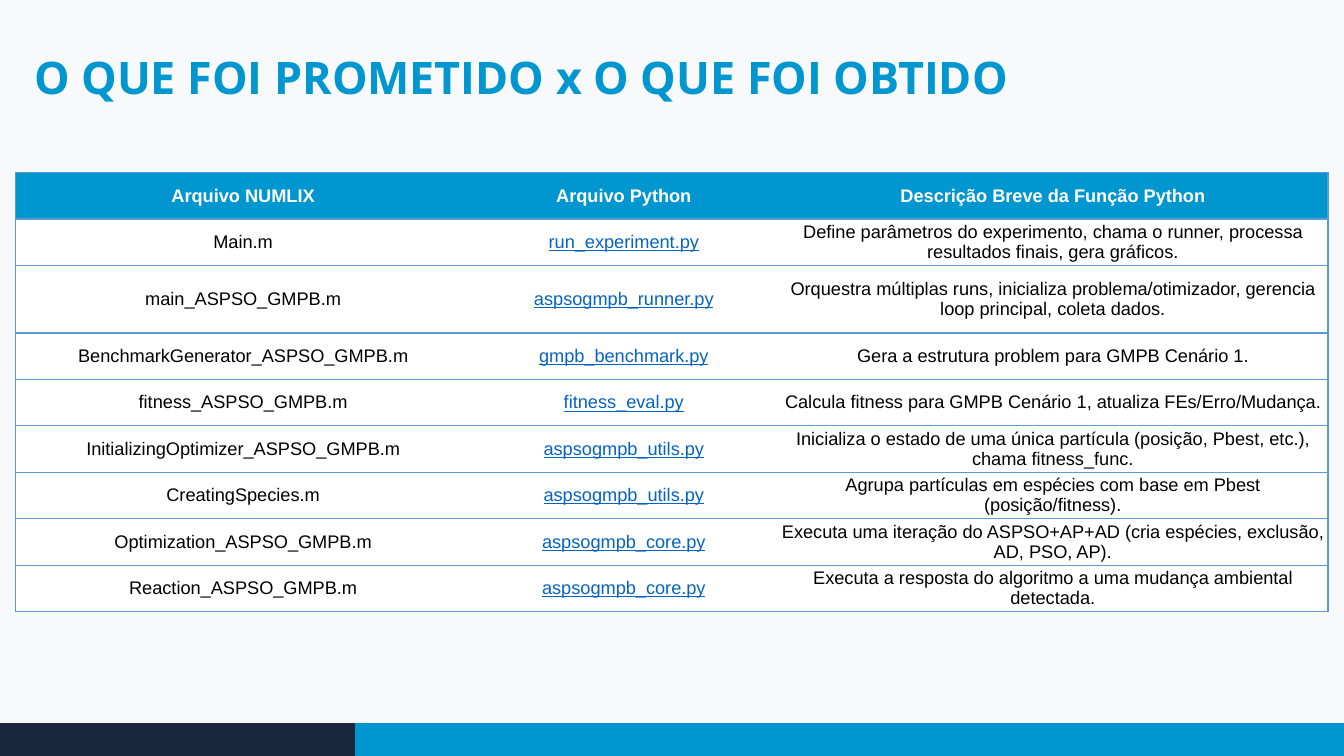
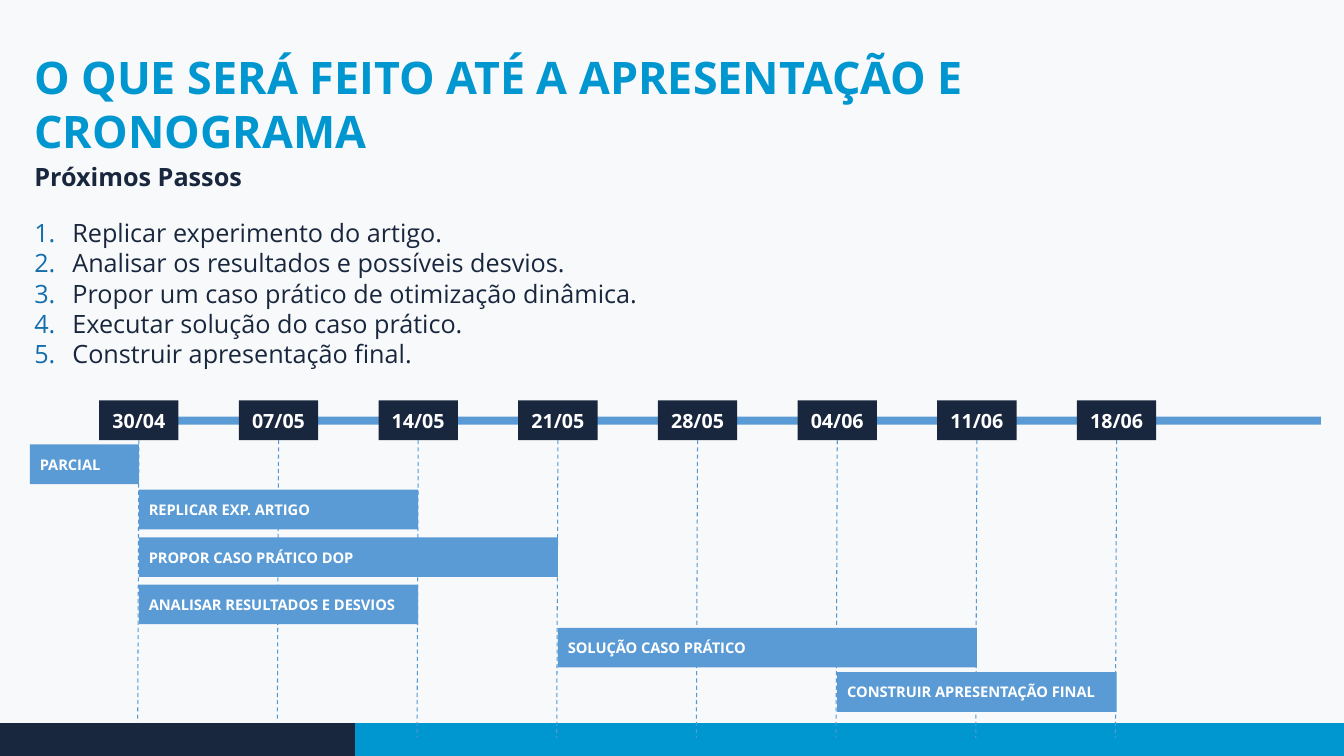
from dataclasses import dataclass

from lxml.etree import SubElement
from pptx import Presentation
from pptx.dml.color import RGBColor
from pptx.enum.dml import MSO_LINE_DASH_STYLE as Dash
from pptx.enum.shapes import MSO_CONNECTOR as Link, MSO_SHAPE as Preset
from pptx.enum.text import MSO_ANCHOR as Anchor, MSO_AUTO_SIZE as Fit, PP_ALIGN as Align
from pptx.oxml.ns import qn
from pptx.util import Cm, Pt


@dataclass(frozen=True)
class Theme:
    # Colours
    paper: str = "F8F9FA"
    navy: str = "19273E"
    cyan: str = "0096D0"
    steel: str = "5B9BD5"
    guide: str = "5698D3"
    number: str = "146EAD"
    link: str = "0563C1"
    white: str = "FFFFFF"
    black: str = "000000"
    # Fonts and type sizes
    font: str = "Open Sans"
    table_font: str = "Arial"
    title_size: float = 32
    body_size: float = 18
    date_size: float = 14
    table_size: float = 13
    task_size: float = 10.5


def rgb(colour):
    return RGBColor.from_string(colour)


class SlideBuilder:
    WIDTH, HEIGHT = 33.87, 19.05
    BAND_HEIGHT, BAND_SPLIT = 0.83, 8.95
    MARGIN = 0.61

    def __init__(self, theme):
        self.theme = theme
        self.deck = Presentation()
        self.deck.slide_width = Cm(self.WIDTH)
        self.deck.slide_height = Cm(self.HEIGHT)
        self.page = None

    def new_page(self, layout, title, title_height):
        theme = self.theme
        self.page = self.deck.slides.add_slide(self.deck.slide_layouts[layout])
        fill = self.page.background.fill
        fill.solid()
        fill.fore_color.rgb = rgb(theme.paper)

        # Footer bands
        top = self.HEIGHT - self.BAND_HEIGHT
        self.box(0, top, self.BAND_SPLIT, self.BAND_HEIGHT, theme.navy)
        self.box(self.BAND_SPLIT, top, self.WIDTH - self.BAND_SPLIT, self.BAND_HEIGHT, theme.cyan)

        # Title
        frame = self.place(self.page.shapes.title, 1.12, 29.9, title_height)
        para = self.paragraph(frame.paragraphs[0], Align.LEFT)
        self.span(para, title, theme.title_size, theme.cyan, bold=True)

    def place(self, holder, top, width, height):
        holder.left, holder.top = Cm(self.MARGIN), Cm(top)
        holder.width, holder.height = Cm(width), Cm(height)
        frame = holder.text_frame
        frame.word_wrap = True
        frame.auto_size = Fit.NONE
        frame.vertical_anchor = Anchor.TOP
        return frame

    def paragraph(self, para, align, before=0):
        para.alignment = align
        para.line_spacing = 1.0
        para.space_before = Pt(before)
        return para

    def span(self, para, text, size, colour, bold=False, font=None, underline=False):
        span = para.add_run()
        span.text = text
        style = span.font
        style.name = font or self.theme.font
        style.size = Pt(size)
        style.bold = bold
        style.underline = underline
        style.color.rgb = rgb(colour)

    def box(self, left, top, width, height, colour, text="", size=None, align=Align.CENTER):
        box = self.page.shapes.add_shape(
            Preset.RECTANGLE, Cm(left), Cm(top), Cm(width), Cm(height))
        box.shadow.inherit = False
        box.fill.solid()
        box.fill.fore_color.rgb = rgb(colour)
        box.line.fill.background()
        if text:
            box.text_frame.vertical_anchor = Anchor.MIDDLE
            para = self.paragraph(box.text_frame.paragraphs[0], align)
            self.span(para, text, size, self.theme.white, bold=True)
        return box

    def guide(self, box, right, bottom):
        """Dashed line that hangs from the bottom of a box."""
        line = self.page.shapes.add_connector(
            Link.STRAIGHT, Cm(right), Cm(bottom), Cm(right), Cm(bottom))
        line.begin_connect(box, 2)
        line.line.color.rgb = rgb(self.theme.guide)
        line.line.width = Pt(0.75)
        line.line.dash_style = Dash.DASH
        SubElement(line.element.spPr, qn("a:effectLst"))

    def numbered_list(self, heading, items, top, width, height):
        theme = self.theme
        frame = self.place(self.page.placeholders[1], top, width, height)
        para = frame.paragraphs[0]
        props = para._p.get_or_add_pPr()
        props.set("marL", "0")
        props.set("indent", "0")
        SubElement(props, qn("a:buNone"))
        self.paragraph(para, Align.JUSTIFY)
        self.span(para, heading, theme.body_size, theme.navy, bold=True)
        for index, item in enumerate(items):
            para = frame.add_paragraph()
            self.number(para)
            self.paragraph(para, Align.JUSTIFY, before=0 if index else 18.4)
            self.span(para, item, theme.body_size, theme.navy)

    def number(self, para):
        props = para._p.get_or_add_pPr()
        indent = Cm(0.96)
        props.set("marL", str(indent))
        props.set("indent", str(-indent))
        SubElement(SubElement(props, qn("a:buClr")), qn("a:srgbClr"), val=self.theme.number)
        SubElement(props, qn("a:buFont"), typeface=self.theme.font)
        SubElement(props, qn("a:buAutoNum"), type="arabicPeriod")

    def table(self, left, top, widths, heights, rows):
        theme = self.theme
        table = self.page.shapes.add_table(
            len(rows), len(widths), Cm(left), Cm(top),
            Cm(sum(widths)), Cm(sum(heights))).table
        table.horz_banding = False
        for column, width in zip(table.columns, widths):
            column.width = Cm(width)
        for row, height in zip(table.rows, heights):
            row.height = Cm(height)
        last = len(widths) - 1
        for r, texts in enumerate(rows):
            header = r == 0
            for c, text in enumerate(texts):
                cell = table.cell(r, c)
                self.borders(cell, {"L": c == 0, "R": c == last, "T": True, "B": True})
                cell.fill.solid()
                cell.fill.fore_color.rgb = rgb(theme.cyan if header else theme.white)
                cell.margin_left = cell.margin_right = Cm(0.05)
                cell.margin_top = cell.margin_bottom = Cm(0.05)
                cell.vertical_anchor = Anchor.MIDDLE
                linked = c == 1 and not header
                colour = theme.white if header else theme.link if linked else theme.black
                para = self.paragraph(cell.text_frame.paragraphs[0], Align.CENTER)
                self.span(para, text, theme.table_size, colour, header, theme.table_font, linked)

    def borders(self, cell, sides):
        props = cell._tc.get_or_add_tcPr()
        for side, shown in sides.items():
            line = SubElement(props, qn("a:ln" + side), w=str(Pt(1)))
            if shown:
                fill = SubElement(line, qn("a:solidFill"))
                SubElement(fill, qn("a:srgbClr"), val=self.theme.steel)
            else:
                SubElement(line, qn("a:noFill"))


FILES = [
    ("Arquivo NUMLIX", "Arquivo Python", "Descrição Breve da Função Python"),
    ("Main.m", "run_experiment.py",
     "Define parâmetros do experimento, chama o runner, processa resultados finais, "
     "gera gráficos."),
    ("main_ASPSO_GMPB.m", "aspsogmpb_runner.py",
     "Orquestra múltiplas runs, inicializa problema/otimizador, gerencia loop principal, "
     "coleta dados."),
    ("BenchmarkGenerator_ASPSO_GMPB.m", "gmpb_benchmark.py",
     "Gera a estrutura problem para GMPB Cenário 1."),
    ("fitness_ASPSO_GMPB.m", "fitness_eval.py",
     "Calcula fitness para GMPB Cenário 1, atualiza FEs/Erro/Mudança."),
    ("InitializingOptimizer_ASPSO_GMPB.m", "aspsogmpb_utils.py",
     "Inicializa o estado de uma única partícula (posição, Pbest, etc.), chama fitness_func."),
    ("CreatingSpecies.m", "aspsogmpb_utils.py",
     "Agrupa partículas em espécies com base em Pbest (posição/fitness)."),
    ("Optimization_ASPSO_GMPB.m", "aspsogmpb_core.py",
     "Executa uma iteração do ASPSO+AP+AD (cria espécies, exclusão, AD, PSO, AP)."),
    ("Reaction_ASPSO_GMPB.m", "aspsogmpb_core.py",
     "Executa a resposta do algoritmo a uma mudança ambiental detectada."),
]

STEPS = [
    "Replicar experimento do artigo.",
    "Analisar os resultados e possíveis desvios.",
    "Propor um caso prático de otimização dinâmica.",
    "Executar solução do caso prático.",
    "Construir apresentação final.",
]

DATES = ["30/04", "07/05", "14/05", "21/05", "28/05", "04/06", "11/06", "18/06"]

# Task, first week, length in weeks, top
TASKS = [
    ("PARCIAL", -0.78, 0.78, 11.2),
    ("REPLICAR EXP. ARTIGO", 0, 2, 12.34),
    ("PROPOR CASO PRÁTICO DOP", 0, 3, 13.54),
    ("ANALISAR RESULTADOS E DESVIOS", 0, 2, 14.73),
    ("SOLUÇÃO CASO PRÁTICO", 3, 3, 15.82),
    ("CONSTRUIR APRESENTAÇÃO FINAL", 5, 2, 16.94),
]


def results_page(builder):
    builder.new_page(5, "O QUE FOI PROMETIDO x O QUE FOI OBTIDO", 1.63)
    heights = [1.7 if row == 2 else 1.17 for row in range(len(FILES))]
    builder.table(0.4, 4.35, [11.45, 7.74, 13.88], heights, FILES)


def schedule_page(builder):
    theme = builder.theme
    builder.new_page(1, "O QUE SERÁ FEITO ATÉ A APRESENTAÇÃO E CRONOGRAMA", 3)
    builder.numbered_list("Próximos Passos", STEPS, 3.94, 32.66, 5.87)

    # Time axis and dates
    first, week, date_width, bar_height = 3.5, 3.52, 2, 1
    builder.box(4.29, 10.5, 29, 0.2, theme.steel)
    centres = [first + week * index for index in range(len(DATES))]
    dates = [
        builder.box(centre - date_width / 2, 10.09, date_width, bar_height,
                    theme.navy, date, theme.date_size)
        for centre, date in zip(centres, DATES)
    ]

    # Week guides: the first two stop at the footer
    for index, (centre, date) in enumerate(zip(centres, dates)):
        builder.guide(date, centre - 0.03, 18.19 if index < 2 else 18.59)

    # Task bars
    for task, start, weeks, top in TASKS:
        builder.box(first + week * start, top, week * weeks, bar_height,
                    theme.steel, task, theme.task_size, Align.LEFT)


def main():
    builder = SlideBuilder(Theme())
    results_page(builder)
    schedule_page(builder)
    builder.deck.save("out.pptx")


if __name__ == "__main__":
    main()
